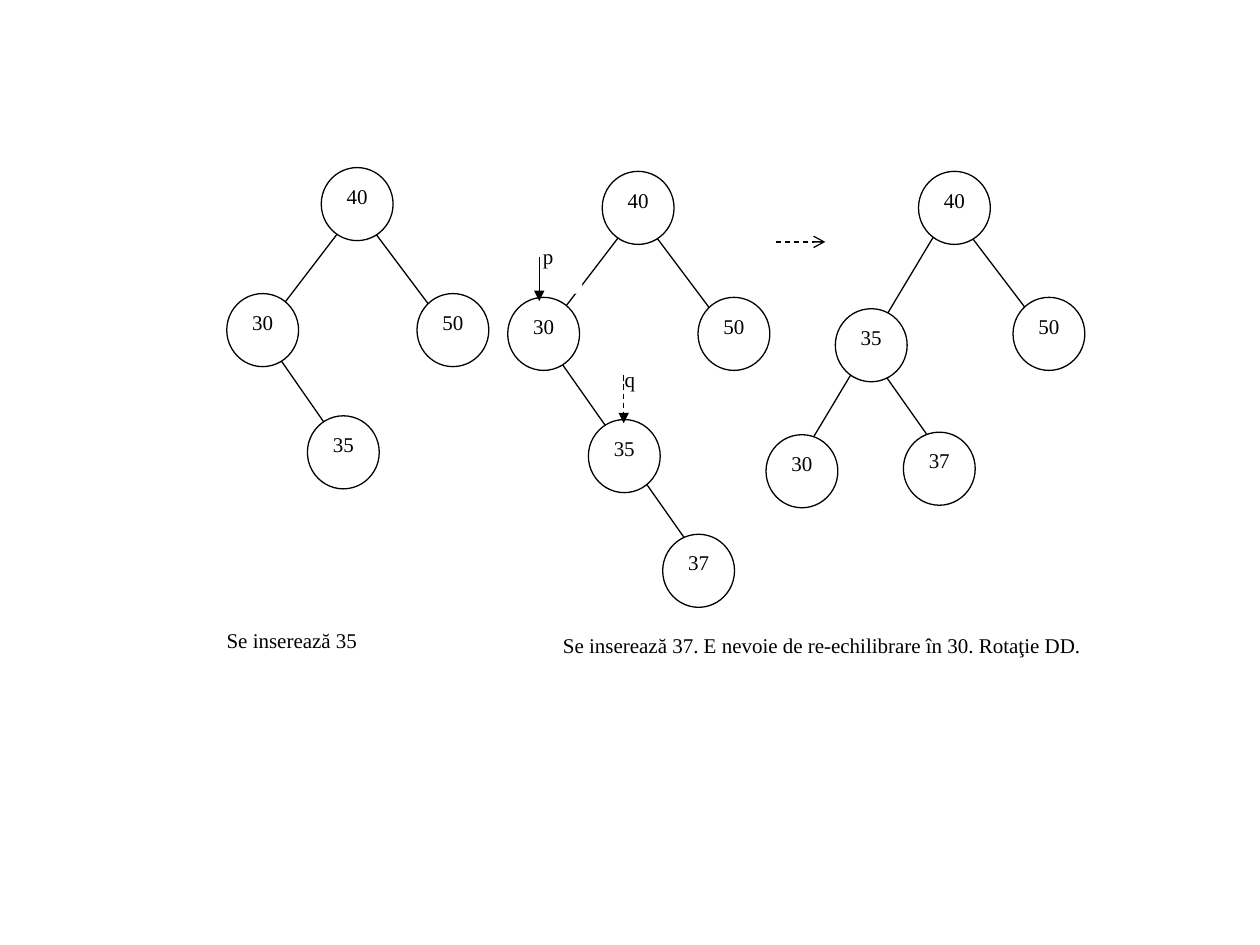
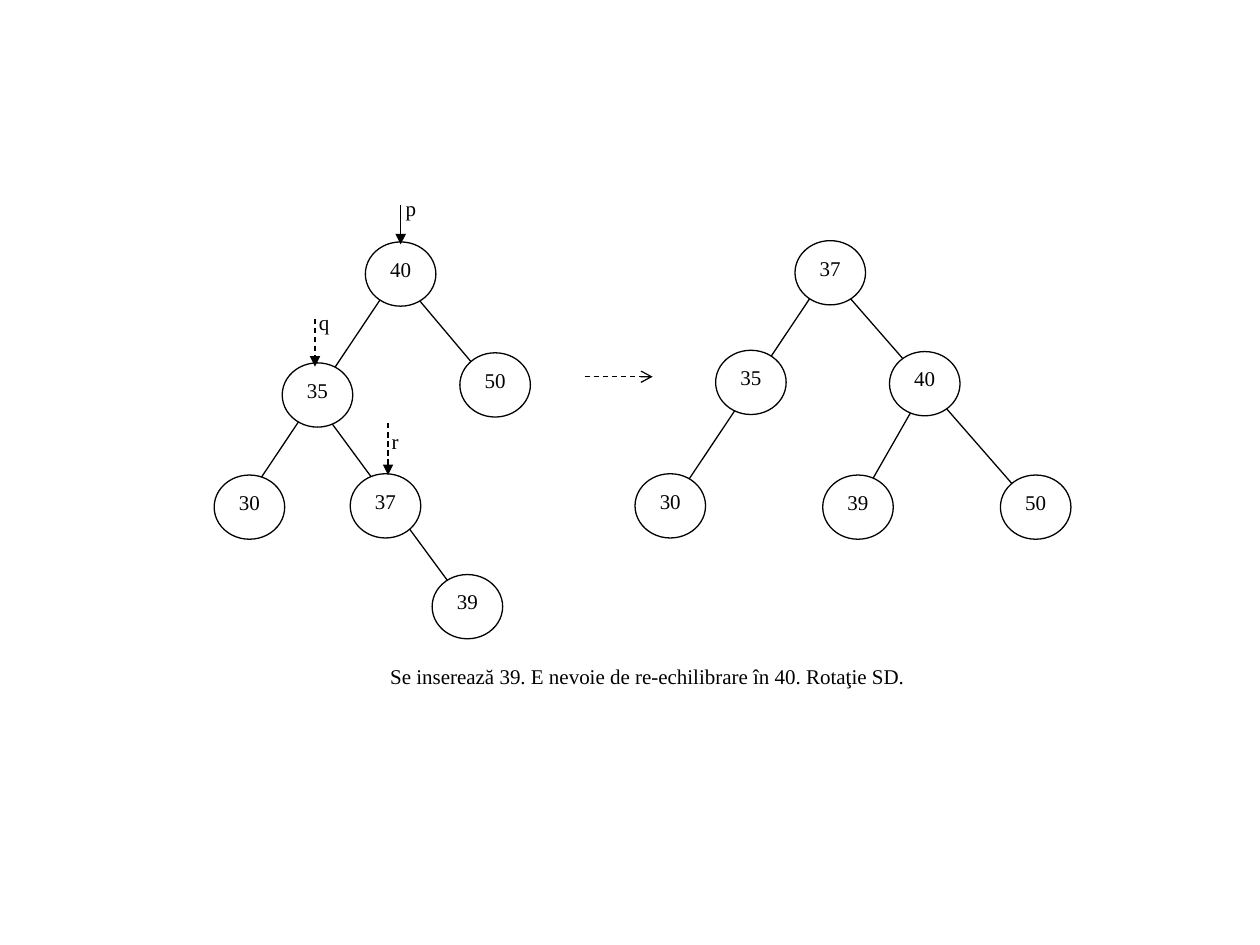
from dataclasses import dataclass
from typing import NamedTuple

from lxml.etree import SubElement
from pptx import Presentation
from pptx.dml.color import RGBColor
from pptx.enum.dml import MSO_LINE
from pptx.enum.shapes import MSO_CONNECTOR, MSO_SHAPE
from pptx.enum.text import MSO_ANCHOR, PP_ALIGN
from pptx.oxml.ns import qn
from pptx.util import Inches, Pt


@dataclass(frozen=True)
class Theme:
    ink: RGBColor = RGBColor(0, 0, 0)
    paper: RGBColor = RGBColor(255, 255, 255)
    font: str = "Times New Roman"
    size: Pt = Pt(12)
    stroke: Pt = Pt(0.75)


THEME = Theme()
WIDTH, HEIGHT = Inches(10), Inches(7.5)
CELL = WIDTH // 100  # the slide is a grid of 100 columns by 75 rows
NODE_INSETS = (0, 0.4, 0, 0)
BOX_INSETS = (1, 0.5, 1, 0.5)


class Edge(NamedTuple):
    x1: float
    y1: float
    x2: float
    y2: float


class Node(NamedTuple):
    key: int
    x: float
    y: float


class Tree(NamedTuple):
    """Nodes and edges are measured from the corner of the root."""
    x: float
    y: float
    nodes: tuple[Node, ...]
    edges: tuple[Edge, ...]


class Label(NamedTuple):
    text: str
    x: float
    y: float
    w: float
    h: float
    align: PP_ALIGN = PP_ALIGN.LEFT
    insets: tuple = BOX_INSETS


class Arrow(NamedTuple):
    edge: Edge
    head: str = "triangle"
    dashed: bool = True


class TreeSlide(NamedTuple):
    node_size: tuple[float, float]
    trees: tuple[Tree, ...]
    labels: tuple[Label, ...]
    arrows: tuple[Arrow, ...]


def grid(*cells: float) -> list[int]:
    return [round(c * CELL) for c in cells]


def set_text(shape, text: str, align: PP_ALIGN, insets: tuple) -> None:
    """Put white-backed, top-anchored text into a shape."""
    shape.fill.solid()
    shape.fill.fore_color.rgb = THEME.paper
    tf = shape.text_frame
    tf.word_wrap = True
    tf.vertical_anchor = MSO_ANCHOR.TOP
    (tf.margin_left, tf.margin_top,
     tf.margin_right, tf.margin_bottom) = grid(*insets)
    tf.text = text
    p = tf.paragraphs[0]
    p.alignment = align
    font = p.runs[0].font
    font.name, font.size = THEME.font, THEME.size
    font.color.rgb = THEME.ink


def set_stroke(line) -> None:
    line.color.rgb = THEME.ink
    line.width = THEME.stroke


def add_line(s, edge: Edge, head: str = "", dashed: bool = False) -> None:
    c = s.shapes.add_connector(MSO_CONNECTOR.STRAIGHT, *grid(*edge))
    set_stroke(c.line)
    if dashed:
        c.line.dash_style = MSO_LINE.DASH
    if head:
        SubElement(c.line._get_or_add_ln(), qn("a:tailEnd"), type=head)
    SubElement(c._element.spPr, qn("a:effectLst"))


def add_node(s, node: Node, size: tuple[float, float]) -> None:
    sp = s.shapes.add_shape(MSO_SHAPE.OVAL, *grid(node.x, node.y, *size))
    sp.shadow.inherit = False
    set_stroke(sp.line)
    set_text(sp, str(node.key), PP_ALIGN.CENTER, NODE_INSETS)


def add_tree(s, tree: Tree, size: tuple[float, float]) -> None:
    x, y = tree.x, tree.y
    for e in tree.edges:
        add_line(s, Edge(x + e.x1, y + e.y1, x + e.x2, y + e.y2))
    for n in tree.nodes:
        add_node(s, Node(n.key, x + n.x, y + n.y), size)


def add_label(s, label: Label) -> None:
    box = s.shapes.add_textbox(*grid(label.x, label.y, label.w, label.h))
    set_text(box, label.text, label.align, label.insets)


def add_tree_slide(prs, content: TreeSlide) -> None:
    s = prs.slides.add_slide(prs.slide_layouts[6])
    for tree in content.trees:
        add_tree(s, tree, content.node_size)
    for label in content.labels:
        add_label(s, label)
    for arrow in content.arrows:
        add_line(s, *arrow)


# The tree after inserting 35 is the start of the tree after inserting 37.
BASE_NODES = (Node(50, 7.6, 10), Node(35, -1.1, 19.7), Node(30, -7.5, 10),
              Node(40, 0, 0))
BASE_EDGES = (Edge(3, 3.5, 10.5, 13.5), Edge(3, 3, -4.8, 13.2))

DD_ROTATION = TreeSlide(
    node_size=(5.7, 5.8),
    trees=(
        Tree(25.5, 13.3, BASE_NODES,
             BASE_EDGES + (Edge(-4.8, 13, 1.8, 22.5),)),
        Tree(47.8, 13.6, BASE_NODES + (Node(37, 4.8, 28.8),),
             BASE_EDGES + (Edge(-4.8, 13, 8.7, 32.2),)),
        Tree(72.9, 13.6,
             (Node(50, 7.5, 10), Node(37, -1.2, 20.7), Node(35, -6.6, 10.9),
              Node(40, 0, 0), Node(30, -12.1, 20.9)),
             (Edge(2.9, 3.5, 10.5, 13.5), Edge(-4.9, 13, 1.8, 22.5),
              Edge(2.5, 3, -9.9, 23.7))),
    ),
    labels=(
        Label("Se inserează 35", 17, 49.3, 17.5, 5.4, PP_ALIGN.JUSTIFY),
        Label("Se inserează 37. E nevoie de re-echilibrare în 30. Rotaţie DD.",
              43, 49.7, 44.5, 6.9, PP_ALIGN.CENTER),
        Label("p", 42.1, 18.8, 4.1, 4.5),
        Label("q", 48.6, 28.6, 4.1, 4.5),
    ),
    arrows=(
        Arrow(Edge(61.6, 19.2, 65.5, 19.2), "arrow"),
        Arrow(Edge(42.8, 20.4, 42.8, 23.9), dashed=False),
        Arrow(Edge(49.5, 29.8, 49.5, 33.6)),
    ),
)

SD_ROTATION = TreeSlide(
    node_size=(5.6, 5.1),
    trees=(
        Tree(29, 19.2,
             (Node(50, 7.5, 8.8), Node(37, -1.2, 18.4), Node(35, -6.6, 9.6),
              Node(40, 0, 0), Node(30, -12, 18.5), Node(39, 5.3, 26.4)),
             (Edge(2.9, 3, 10.4, 11.9), Edge(-4.8, 11.5, 8.3, 29.3),
              Edge(2.5, 2.6, -9.8, 21))),
        Tree(63.1, 19.1,
             (Node(40, 7.5, 8.8), Node(39, 2.2, 18.6), Node(35, -6.3, 8.7),
              Node(37, 0, 0), Node(30, -12.7, 18.5), Node(50, 16.3, 18.6)),
             (Edge(10.4, 11.5, 4.8, 21.3), Edge(3, 3, 19.5, 21.9),
              Edge(2.5, 2.6, -9.8, 21))),
    ),
    labels=(
        Label("p", 31.2, 15, 4.1, 4),
        Label("q", 25.3, 24.6, 1.5, 4, insets=(0, 0, 0, 0)),
        Label("r", 30.1, 33.5, 4.1, 4),
        Label("Se inserează 39. E nevoie de re-echilibrare în 40. Rotaţie SD.",
              29.3, 52.2, 44.2, 6.2, PP_ALIGN.CENTER),
    ),
    arrows=(
        Arrow(Edge(25, 25.3, 25, 29.1)),
        Arrow(Edge(31.8, 16.3, 31.8, 19.4), dashed=False),
        Arrow(Edge(30.8, 33.6, 30.8, 37.7)),
        Arrow(Edge(46.4, 29.9, 51.8, 29.9), "arrow"),
    ),
)


def main() -> None:
    prs = Presentation()
    prs.slide_width, prs.slide_height = WIDTH, HEIGHT
    for content in (DD_ROTATION, SD_ROTATION):
        add_tree_slide(prs, content)
    prs.save("out.pptx")


if __name__ == "__main__":
    main()
